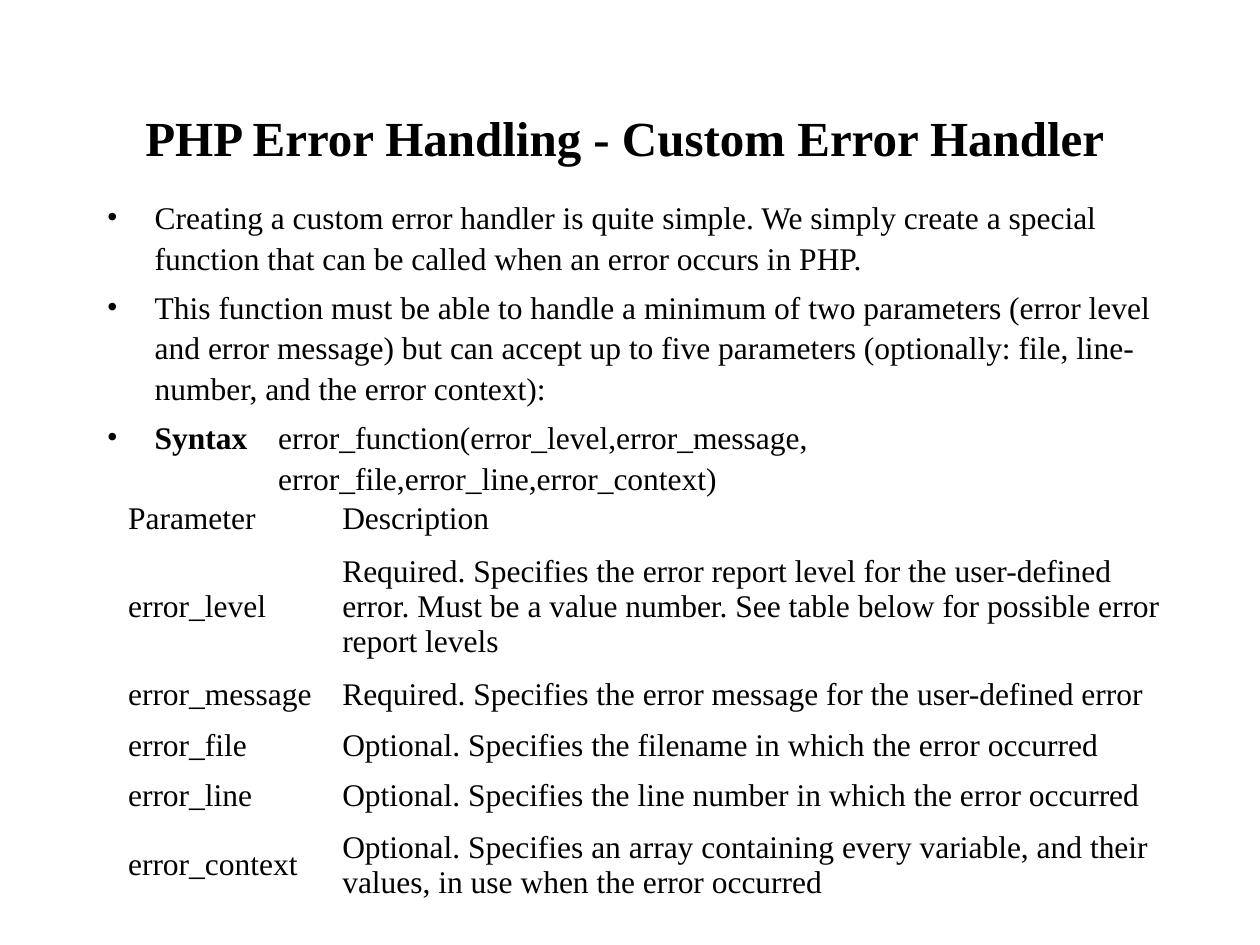
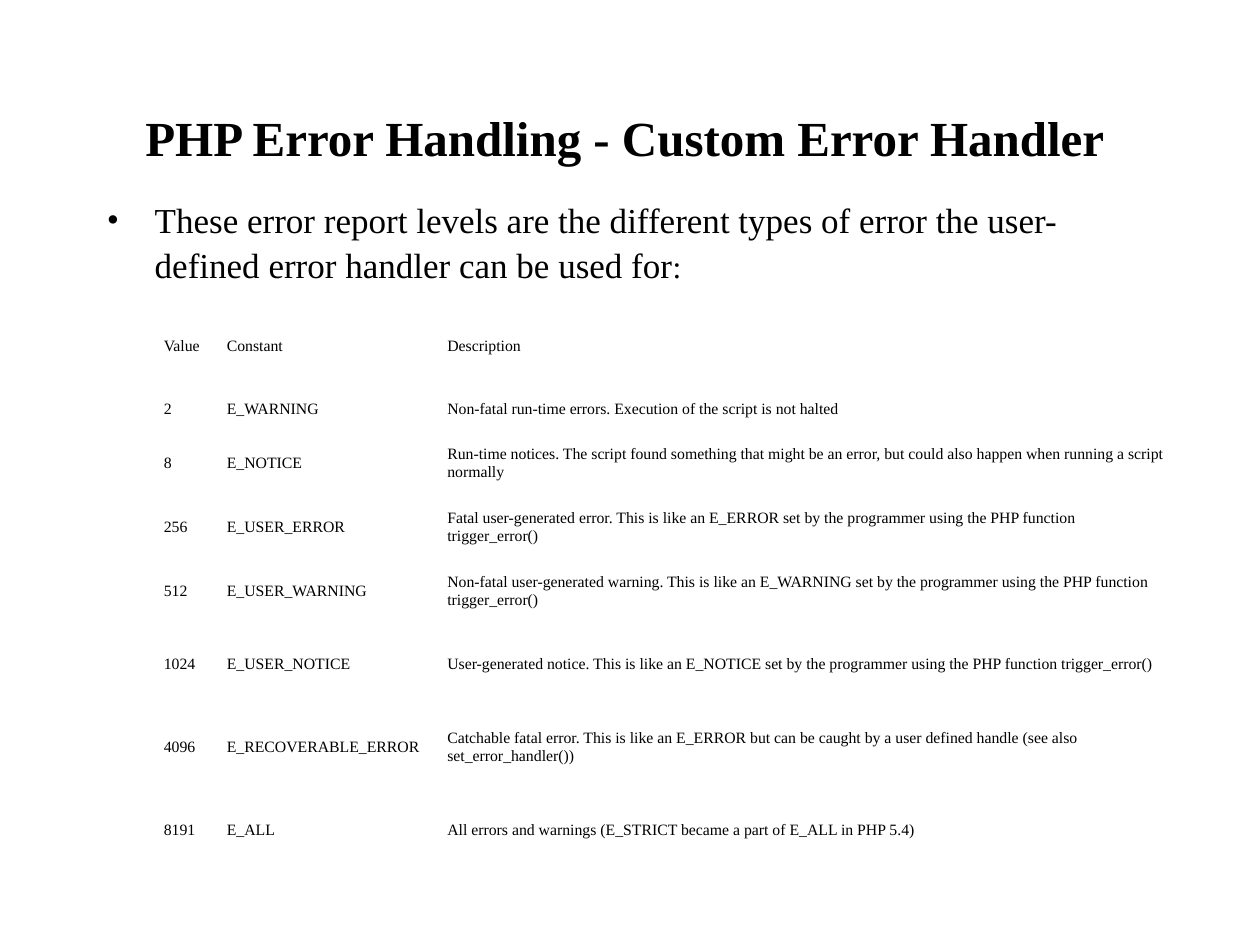
from dataclasses import dataclass

from lxml import etree
from pptx import Presentation
from pptx import util as u
from pptx.dml import color
from pptx.enum import text
from pptx.oxml import ns


@dataclass(frozen=True)
class Theme:
    font: str = "Times New Roman"
    ink: color.RGBColor = color.RGBColor(0, 0, 0)
    paper: color.RGBColor = color.RGBColor(255, 255, 255)
    title: int = 28
    lead: int = 20
    body: int = 18
    small: int = 9
    line_spacing: float = 1.08
    space_before: float = 4.5


THEME = Theme()
PLAIN_TABLE = "{2D5ABB26-0587-4C30-8999-92F81FD0307C}"

# The slide is a grid of 120 columns and 90 rows; boxes are left, top, width, height
COLS, ROWS = 120, 90
UNIT = u.Inches(10) // COLS
TITLE_BOX = (9, 8, 101, 10)
BODY_BOX = (9, 18, 102, 66)
HANG = u.Inches(0.38)
SYNTAX_INDENT = u.Inches(1.36)

TITLE = "PHP Error Handling - Custom Error Handler"

PARAMETERS = [
    ("Parameter", "Description"),
    ("error_level", "Required. Specifies the error report level for the user-defined error. "
     "Must be a value number. See table below for possible error report levels"),
    ("error_message", "Required. Specifies the error message for the user-defined error"),
    ("error_file", "Optional. Specifies the filename in which the error occurred"),
    ("error_line", "Optional. Specifies the line number in which the error occurred"),
    ("error_context", "Optional. Specifies an array containing every variable, and their "
     "values, in use when the error occurred"),
]

LEVELS = [
    ("Value", "Constant", "Description"),
    ("2", "E_WARNING", "Non-fatal run-time errors. Execution of the script is not halted"),
    ("8", "E_NOTICE", "Run-time notices. The script found something that might be an error, "
     "but could also happen when running a script normally"),
    ("256", "E_USER_ERROR", "Fatal user-generated error. This is like an E_ERROR set by the "
     "programmer using the PHP function trigger_error()"),
    ("512", "E_USER_WARNING", "Non-fatal user-generated warning. This is like an E_WARNING set "
     "by the programmer using the PHP function trigger_error()"),
    ("1024", "E_USER_NOTICE", "User-generated notice. This is like an E_NOTICE set by the "
     "programmer using the PHP function trigger_error()"),
    ("4096", "E_RECOVERABLE_ERROR", "Catchable fatal error. This is like an E_ERROR but can be "
     "caught by a user defined handle (see also set_error_handler())"),
    ("8191", "E_ALL", "All errors and warnings (E_STRICT became a part of E_ALL in PHP 5.4)"),
]


def apply(obj, formats):
    for name, value in formats.items():
        setattr(obj, name, value)


def place(sp, box):
    apply(sp, dict(zip(("left", "top", "width", "height"), (round(n * UNIT) for n in box))))


def add_run(p, words, size, bold=False):
    r = p.add_run()
    r.text = words
    apply(r.font, {"name": THEME.font, "size": u.Pt(size), "bold": bold})
    r.font.color.rgb = THEME.ink


def add_sub(parent, tag, **attrs):
    return etree.SubElement(parent, ns.qn(tag), {k: str(v) for k, v in attrs.items()})


# Slide with its title
def add_slide(prs):
    s = prs.slides.add_slide(prs.slide_layouts[5])
    s.background.fill.solid()
    s.background.fill.fore_color.rgb = THEME.paper
    sp = s.shapes.title
    place(sp, TITLE_BOX)
    tf = sp.text_frame
    apply(tf, {"vertical_anchor": text.MSO_ANCHOR.MIDDLE, "word_wrap": True,
               "auto_size": text.MSO_AUTO_SIZE.NONE})
    p = tf.paragraphs[0]
    p.alignment = text.PP_ALIGN.CENTER
    add_run(p, TITLE, THEME.title, bold=True)
    return s


# Text area
def add_body(s):
    sp = s.shapes.add_textbox(0, 0, 0, 0)
    place(sp, BODY_BOX)
    apply(sp.text_frame, {"word_wrap": True, "auto_size": text.MSO_AUTO_SIZE.NONE})
    return sp.text_frame


def add_paragraph(tf, *runs, space_before=THEME.space_before):
    """Add a paragraph; each run is (words, size) or (words, size, bold)."""
    p = tf.paragraphs[0] if not tf.paragraphs[0].runs else tf.add_paragraph()
    apply(p, {"line_spacing": THEME.line_spacing, "space_before": u.Pt(space_before)})
    for run in runs:
        add_run(p, *run)
    return p


def add_bullet(tf, *runs):
    p = add_paragraph(tf, *runs)
    pr = p._p.get_or_add_pPr()
    pr.set("marL", str(HANG))
    pr.set("indent", str(-HANG))
    add_sub(add_sub(pr, "a:buClr"), "a:srgbClr", val=THEME.ink)
    add_sub(pr, "a:buFont", typeface=THEME.font)
    add_sub(pr, "a:buChar", char="•")
    return p


def add_syntax(tf, first_line, second_line):
    p = add_bullet(tf, ("Syntax", THEME.body, True), ("\t" + first_line, THEME.body))
    # Stops serve viewers that measure from the indent and those that measure from the edge
    tabs = add_sub(p._p.pPr, "a:tabLst")
    for stop in (SYNTAX_INDENT - HANG, SYNTAX_INDENT):
        add_sub(tabs, "a:tab", pos=stop, algn="l")
    p = add_paragraph(tf, (second_line, THEME.body), space_before=0)
    p._p.get_or_add_pPr().set("marL", str(SYNTAX_INDENT))


# Borderless table whose columns and rows share its box by weight
def add_table(s, rows, box, col_weights, row_weights, size, side_margin):
    gf = s.shapes.add_table(len(rows), len(rows[0]), *(round(n * UNIT) for n in box))
    table = gf.table
    apply(table, {"first_row": False, "horz_banding": False})
    table._tbl.tblPr.find(ns.qn("a:tableStyleId")).text = PLAIN_TABLE
    for col, weight in zip(table.columns, col_weights):
        col.width = round(box[2] * UNIT * weight / sum(col_weights))
    for row, weight, words in zip(table.rows, row_weights, rows):
        row.height = round(box[3] * UNIT * weight / sum(row_weights))
        for cell, content in zip(row.cells, words):
            apply(cell, {"vertical_anchor": text.MSO_ANCHOR.MIDDLE,
                         "margin_left": side_margin, "margin_right": side_margin,
                         "margin_top": u.Inches(0.05), "margin_bottom": u.Inches(0.05)})
            cell.fill.background()
            add_run(cell.text_frame.paragraphs[0], content, size)


def build_handler_slide(prs):
    s = add_slide(prs)
    tf = add_body(s)
    add_bullet(tf, ("Creating a custom error handler is quite simple. We simply create a special "
                    "function that can be called when an error occurs in PHP.", THEME.body))
    add_bullet(tf, ("This function must be able to handle a minimum of two parameters (error level "
                    "and error message) but can accept up to five parameters (optionally: file, "
                    "line-number, and the error context):", THEME.body))
    add_syntax(tf, "error_function(error_level,error_message,",
               "error_file,error_line,error_context)")
    add_table(s, PARAMETERS, (11, 47, 102, 39.6), (1, 4), (4, 10, 4, 4, 4, 7),
              THEME.body, u.Inches(0.1))


def build_levels_slide(prs):
    s = add_slide(prs)
    add_bullet(add_body(s),
               ("These error report levels are the different types of error the user-defined "
                "error handler can be used for", THEME.lead), (":", THEME.body))
    add_table(s, LEVELS, (15, 29, 97, 54), (6, 21, 70), (66, 35, 51, 51, 51, 66, 66, 66),
              THEME.small, u.Inches(0.05))


def main():
    prs = Presentation()
    apply(prs, {"slide_width": COLS * UNIT, "slide_height": ROWS * UNIT})
    build_handler_slide(prs)
    build_levels_slide(prs)
    prs.save("out.pptx")


if __name__ == "__main__":
    main()
